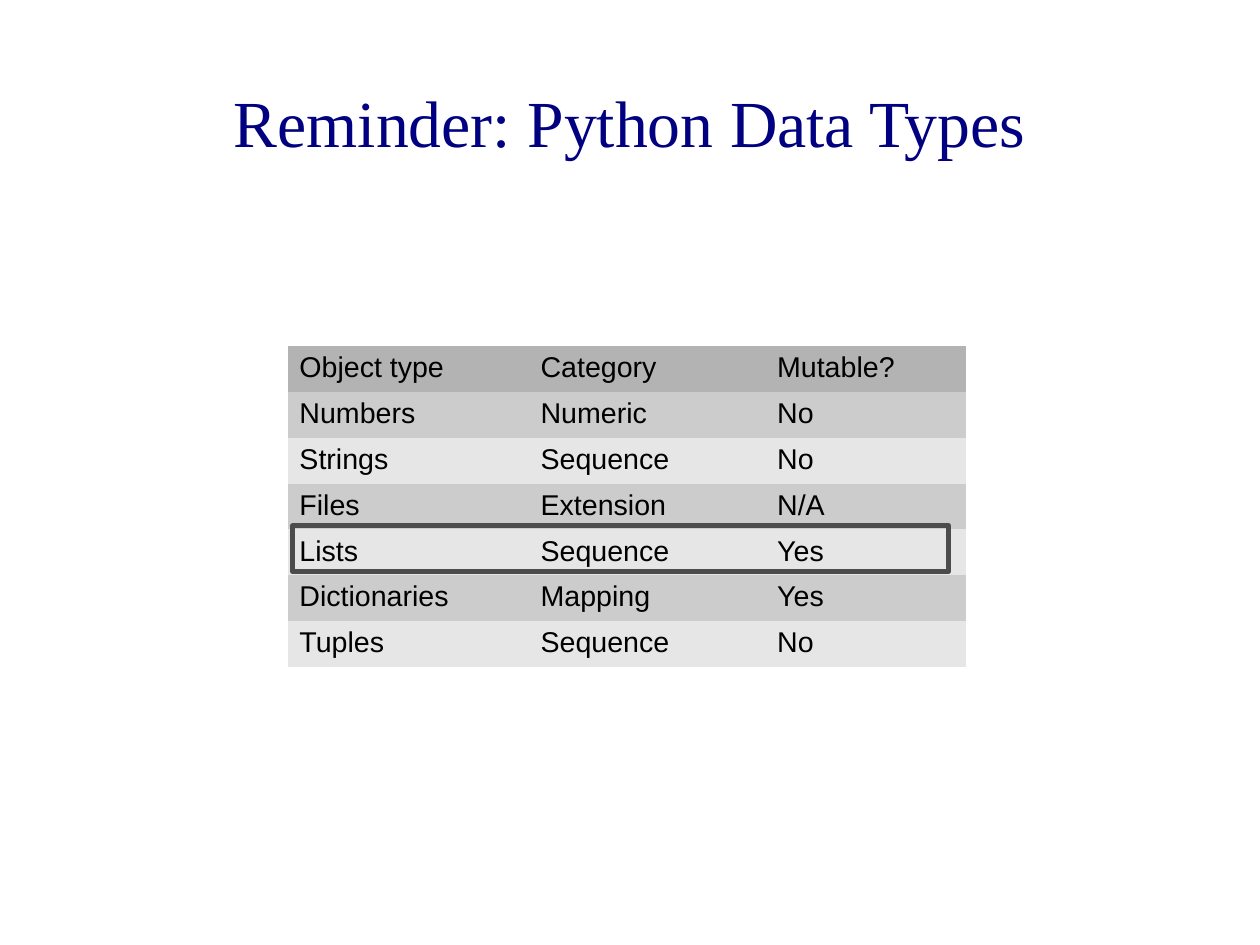
import pptx
import pptx.util
import pptx.dml.color
import pptx.enum.shapes
import pptx.enum.text
import pptx.oxml.ns

Inches = pptx.util.Inches

TITLE = "Reminder: Python Data Types"
DATA_TYPES = [
    ("Object type", "Category", "Mutable?"),
    ("Numbers", "Numeric", "No"),
    ("Strings", "Sequence", "No"),
    ("Files", "Extension", "N/A"),
    ("Lists", "Sequence", "Yes"),
    ("Dictionaries", "Mapping", "Yes"),
    ("Tuples", "Sequence", "No"),
]
CM_PER_INCH = 2.54
SLIDE_WIDTH = 28 / CM_PER_INCH
SLIDE_HEIGHT = 21 / CM_PER_INCH
COLUMN_WIDTHS = [2.11, 2.07, 1.75]
ROW_HEIGHT = 0.4
TABLE_LEFT, TABLE_TOP = 2.52, 3.03
HEADER_FILL = "B3B3B3"
BAND_FILLS = ["CCCCCC", "E6E6E6"]
PLAIN_TABLE_STYLE = "{2D5ABB26-0587-4C30-8999-92F81FD0307C}"


def color(hex_code):
    return pptx.dml.color.RGBColor.from_string(hex_code)


def write(frame, text, *, size, font, ink, align=None):
    paragraph = frame.paragraphs[0]
    paragraph.alignment = align
    run = paragraph.add_run()
    run.text = text
    run.font.size = pptx.util.Pt(size)
    run.font.name = font
    run.font.color.rgb = color(ink)


def add_title(slide):
    title = slide.shapes.add_textbox(
        Inches(0.55), Inches(0.37), Inches(9.92), Inches(1.38)).text_frame
    title.word_wrap = True
    title.vertical_anchor = pptx.enum.text.MSO_ANCHOR.MIDDLE
    title.margin_left = title.margin_right = 0
    title.margin_top = title.margin_bottom = 0
    write(title, TITLE, size=41.4, font="Times New Roman", ink="000080",
          align=pptx.enum.text.PP_ALIGN.CENTER)


def add_data_types(slide):
    frame = slide.shapes.add_table(
        len(DATA_TYPES), len(COLUMN_WIDTHS), Inches(TABLE_LEFT), Inches(TABLE_TOP),
        Inches(sum(COLUMN_WIDTHS)), Inches(ROW_HEIGHT * len(DATA_TYPES)))
    for style in frame.element.iter(pptx.oxml.ns.qn("a:tableStyleId")):
        style.text = PLAIN_TABLE_STYLE
    data_types = frame.table
    data_types.first_row = data_types.horz_banding = False
    for column, width in zip(data_types.columns, COLUMN_WIDTHS):
        column.width = Inches(width)
    for row, entries in enumerate(DATA_TYPES):
        data_types.rows[row].height = Inches(ROW_HEIGHT)
        fill = BAND_FILLS[(row - 1) % 2] if row else HEADER_FILL
        for column, entry in enumerate(entries):
            cell = data_types.cell(row, column)
            cell.fill.solid()
            cell.fill.fore_color.rgb = color(fill)
            write(cell.text_frame, entry, size=18, font="Arial", ink="000000")


def add_lists_highlight(slide):
    highlight = slide.shapes.add_shape(
        pptx.enum.shapes.MSO_SHAPE.RECTANGLE,
        Inches(2.56), Inches(4.6), Inches(5.74), Inches(ROW_HEIGHT))
    highlight.shadow.inherit = False
    highlight.fill.background()
    highlight.line.color.rgb = color("4C4C4C")
    highlight.line.width = pptx.util.Pt(2.89)


def main():
    deck = pptx.Presentation()
    deck.slide_width = Inches(SLIDE_WIDTH)
    deck.slide_height = Inches(SLIDE_HEIGHT)
    slide = deck.slides.add_slide(deck.slide_layouts[6])
    add_title(slide)
    add_data_types(slide)
    add_lists_highlight(slide)
    deck.save("out.pptx")


if __name__ == "__main__":
    main()
